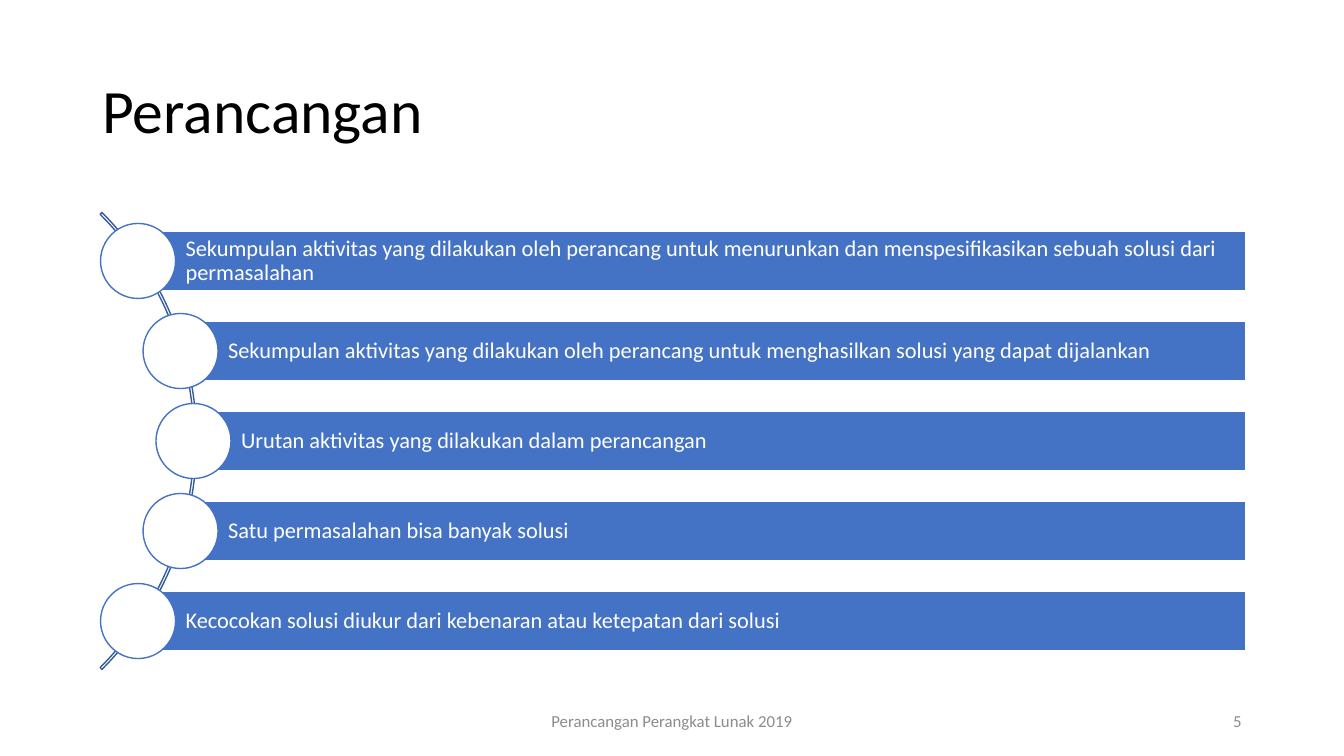
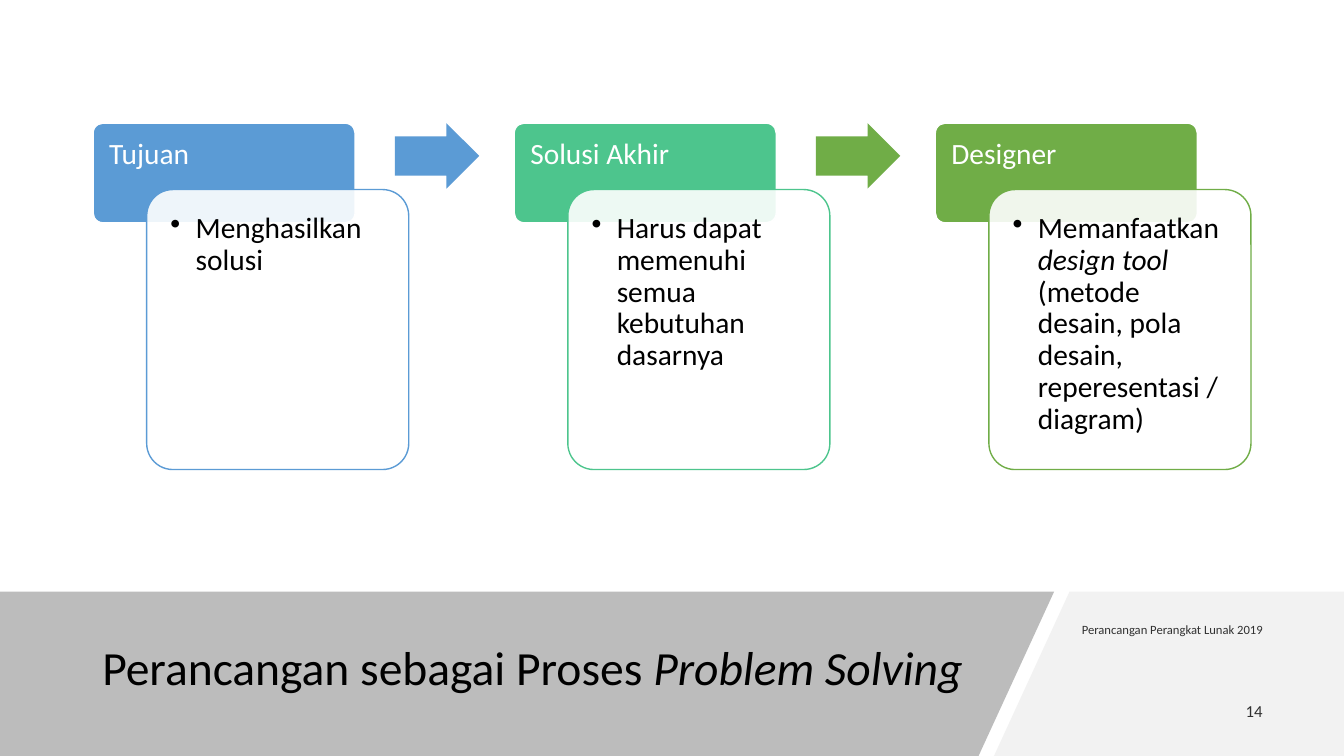
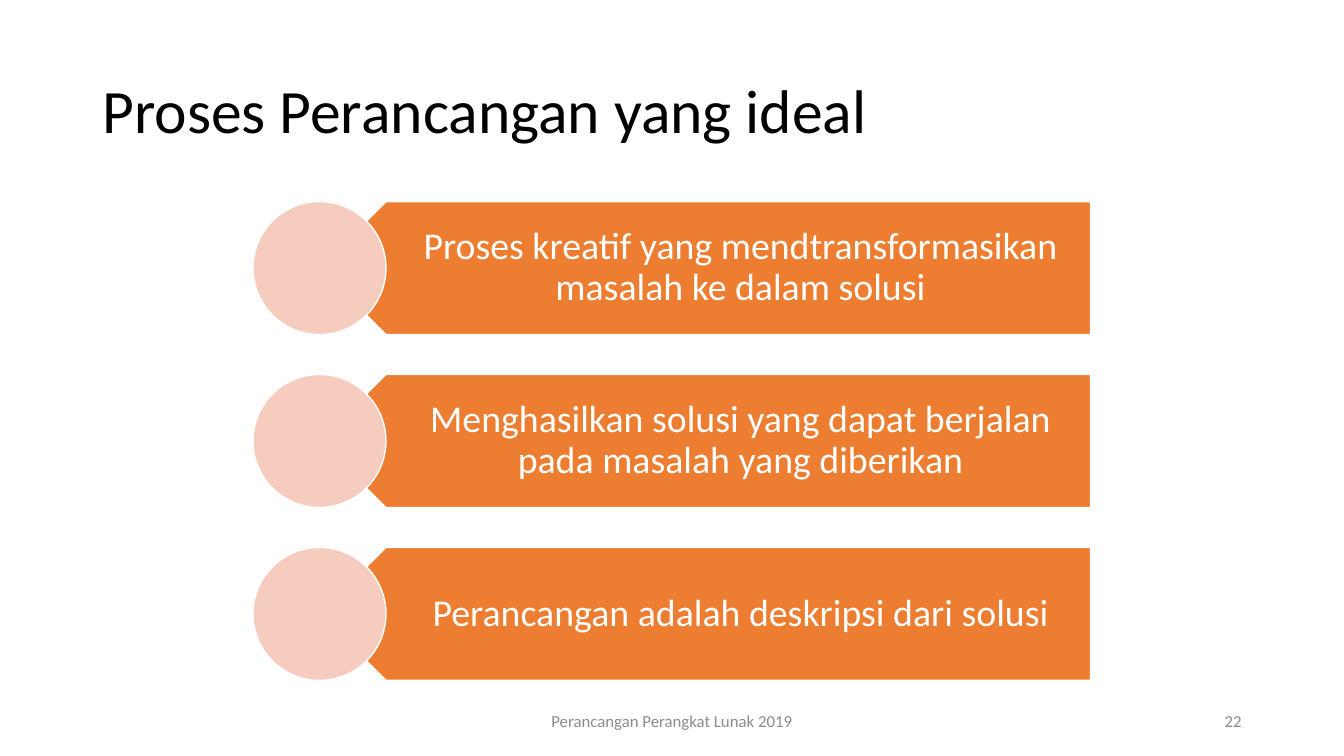
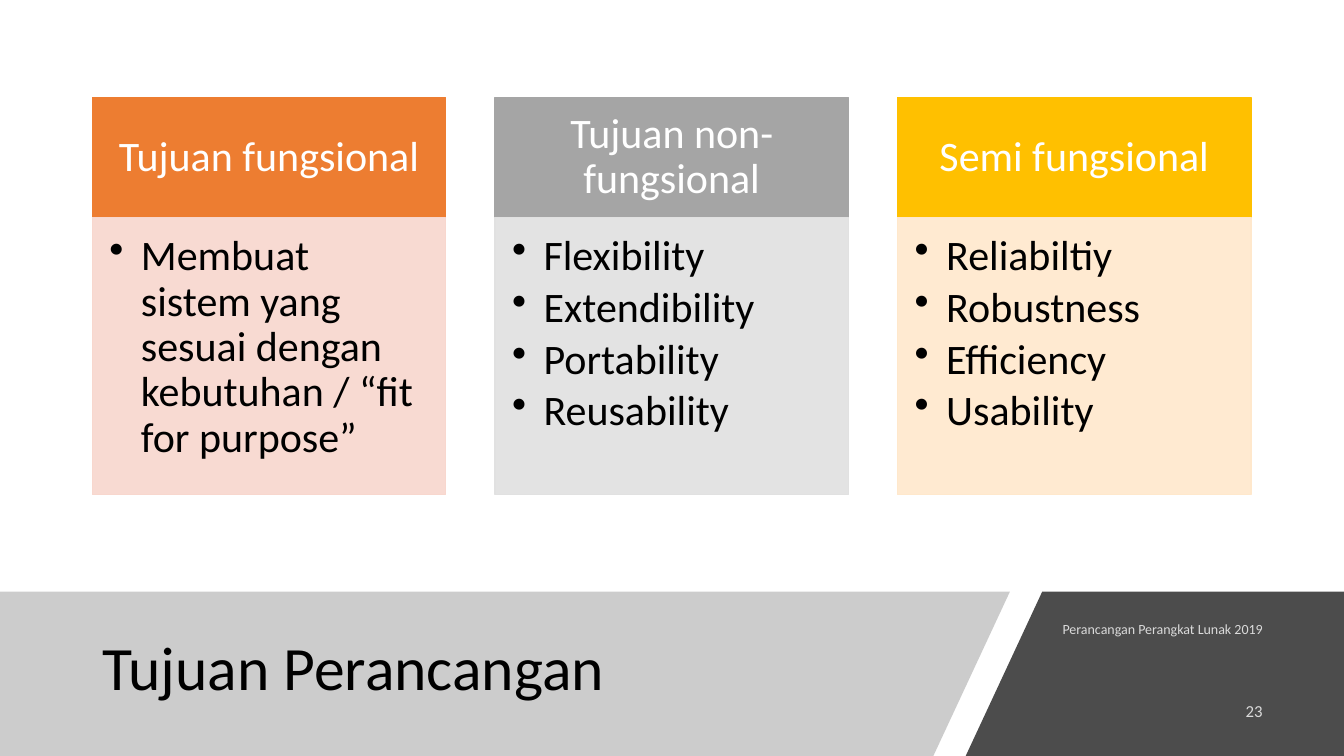
from math import sqrt

from lxml.etree import SubElement
from pptx import Presentation
from pptx.dml.color import RGBColor
from pptx.enum.shapes import MSO_SHAPE as KIND
from pptx.enum.text import MSO_ANCHOR as ANCHOR, PP_ALIGN as ALIGN
from pptx.oxml.ns import qn
from pptx.util import Pt

FONT = "Calibri"
BLACK, WHITE, GREY = "000000", "FFFFFF", "8C8C8C"
BLUE, NAVY, ORANGE, PINK = "4472C4", "365B9D", "ED7D31", "F6CCBE"
SKY, MINT, GREEN = "5B9BD5", "4DC58D", "70AD47"
FOOT = "Perancangan Perangkat Lunak 2019"
BAND_TOP, BAND_END = 422.6, 540


def paint(fill, color, alpha=100):
    """Make a fill solid; alpha is its opacity in percent."""
    fill.solid()
    fill.fore_color.rgb = RGBColor.from_string(color)
    if alpha < 100:
        tone = fill._xPr.find(qn("a:solidFill"))[0]
        SubElement(tone, qn("a:alpha"), val=str(alpha * 1000))


def draw(slide, box, text="", kind=None, fill=None, line=None, alpha=100,
         size=12, color=BLACK, fade=100, align=ALIGN.LEFT, anchor=ANCHOR.MIDDLE,
         inset=(7.2, 3.6, 7.2, 3.6), space=0.9, bullet=0):
    """Add a shape, or a text box if kind is None.

    Lines of text become paragraphs, parts between asterisks are italic,
    and bullet is the hanging indent of a list.
    """
    box = [Pt(n) for n in box]
    if kind is None:
        shape = slide.shapes.add_textbox(*box)
    else:
        shape = slide.shapes.add_shape(kind, *box)
        shape.shadow.inherit = False
        if fill:
            paint(shape.fill, fill, alpha)
        else:
            shape.fill.background()
        if line:
            paint(shape.line.fill, line)
            shape.line.width = Pt(1)
        else:
            shape.line.fill.background()
    if not text:
        return shape

    frame = shape.text_frame
    frame.word_wrap = True
    frame.vertical_anchor = anchor
    (frame.margin_left, frame.margin_top,
     frame.margin_right, frame.margin_bottom) = [Pt(n) for n in inset]
    for i, words in enumerate(text.split("\n")):
        para = frame.add_paragraph() if i else frame.paragraphs[0]
        para.alignment = align
        para.line_spacing = space
        if bullet:
            para.space_after = Pt(size * 0.15)
            props = para._p.get_or_add_pPr()
            props.set("marL", str(Pt(bullet)))
            props.set("indent", str(-Pt(bullet)))
            SubElement(props, qn("a:buChar"), char="•")
        para.font.name = FONT
        para.font.size = Pt(size)
        paint(para.font.fill, color, fade)
        for j, part in enumerate(words.split("*")):
            if part:
                run = para.add_run()
                run.text = part
                if j % 2:
                    run.font.italic = True
    return shape


deck = Presentation()
deck.slide_width, deck.slide_height = Pt(960), Pt(540)
blank = deck.slide_layouts[6]

# Plain slides: title on top, footer in the middle, number on the right
plain = []
for title, num in (("Perancangan", "5"), ("Proses Perancangan yang ideal", "22")):
    slide = deck.slides.add_slide(blank)
    draw(slide, (66, 28.8, 828, 104.4), title, size=44)
    draw(slide, (318, 500.4, 324, 28.8), FOOT, color=GREY, align=ALIGN.CENTER, space=1)
    draw(slide, (678, 500.4, 216, 28.8), num, color=GREY, align=ALIGN.RIGHT, space=1)
    plain.append(slide)

# Band slides: title on a slanted band, footer and number on a second one
# Each band: left and right at the top, left and right at the end, colour, opacity
looks = (
    ("Perancangan sebagai Proses *Problem Solving*", 34, 635.8, "14", 9, 149, BLACK,
     ((0, 753, 0, 699, "595959", 40), (764, 960, 710, 960, "F2F2F2", 100))),
    ("Tujuan Perancangan", 44, 607.7, "23", 10, 167.8, WHITE,
     ((0, 721.4, 0, 666.7, "808080", 40), (744.5, 960, 689.8, 960, BLACK, 70))),
)
banded = []
for title, size, wide, num, small, span, ink, bands in looks:
    slide = deck.slides.add_slide(blank)
    for left, right, low_left, low_right, color, alpha in bands:
        edge = slide.shapes.build_freeform(Pt(left), Pt(BAND_TOP))
        edge.add_line_segments([(Pt(right), Pt(BAND_TOP)), (Pt(low_right), Pt(BAND_END)),
                                (Pt(low_left), Pt(BAND_END))])
        band = edge.convert_to_shape()
        band.shadow.inherit = False
        paint(band.fill, color, alpha)
        band.line.fill.background()
    draw(slide, (66, 435.6, wide, 86.4), title, size=size)
    draw(slide, (909 - span, 435.6, span, 28.8), FOOT, size=small, color=ink,
         fade=80, align=ALIGN.RIGHT)
    draw(slide, (803, 493.2, 106, 28.8), num, color=ink, fade=80,
         align=ALIGN.RIGHT, space=1)
    banded.append(slide)

# Put the slides in reading order: plain and banded in turn
order = deck.slides._sldIdLst
order.insert(1, order[2])

# Perancangan: bars whose dots sit on an arc
slide = plain[0]
mid_x, mid_y, reach, outer = -90.4, 315, 228.6, 230.8
dot, tall, step, end = 53.6, 43, 64.3, 889.6
arc = draw(slide, (mid_x - outer, mid_y - outer, 2 * outer, 2 * outer),
           kind=KIND.BLOCK_ARC, line=NAVY)
for i, value in enumerate((189, 27, 0.004)):
    arc.adjustments[i] = value
points = (
    "Sekumpulan aktivitas yang dilakukan oleh perancang untuk menurunkan dan "
    "menspesifikasikan sebuah solusi dari permasalahan",
    "Sekumpulan aktivitas yang dilakukan oleh perancang untuk menghasilkan solusi "
    "yang dapat dijalankan",
    "Urutan aktivitas yang dilakukan dalam perancangan",
    "Satu permasalahan bisa banyak solusi",
    "Kecocokan solusi diukur dari kebenaran atau ketepatan dari solusi",
)
for i, text in enumerate(points):
    drop = (i - 2) * step
    x, y = mid_x + sqrt(reach ** 2 - drop ** 2), mid_y + drop
    draw(slide, (x, y - tall / 2, end - x, tall), text, KIND.RECTANGLE, BLUE, WHITE,
         size=16, color=WHITE, inset=(34, 2.9, 2.9, 2.9))
    draw(slide, (x - dot / 2, y - dot / 2, dot, dot), kind=KIND.OVAL, fill=WHITE, line=BLUE)

# Problem solving: three cards joined by arrows
slide = banded[0]
cards = (
    ("Tujuan", "Menghasilkan solusi", SKY, SKY),
    ("Solusi Akhir", "Harus dapat memenuhi semua kebutuhan dasarnya", MINT, GREEN),
    ("Designer", "Memanfaatkan *design tool *(metode desain, pola desain, "
     "reperesentasi / diagram)", GREEN, None),
)
for i, (head, body, color, arrow) in enumerate(cards):
    x = 66.5 + i * 300.8
    tab = draw(slide, (x, 88, 187.2, 71.2), head, KIND.ROUNDED_RECTANGLE, color, WHITE,
               size=21, color=WHITE, anchor=ANCHOR.TOP, inset=(9.4, 9.4, 9.4, 6.5))
    card = draw(slide, (x + 38.3, 135.4, 187.2, 200), body, KIND.ROUNDED_RECTANGLE,
                WHITE, color, alpha=90, size=21, anchor=ANCHOR.TOP,
                inset=(11.5, 11.5, 11.5, 11.5), bullet=18)
    tab.adjustments[0] = card.adjustments[0] = 0.1
    if arrow:
        sign = draw(slide, (x + 215.5, 88, 60.3, 46.8), kind=KIND.RIGHT_ARROW, fill=arrow)
        sign.adjustments[0] = 0.6

# Ideal process: pointed bars with a disc at the tip
slide = plain[1]
tall = 95
steps = (
    "Proses kreatif yang mendtransformasikan masalah ke dalam solusi",
    "Menghasilkan solusi yang dapat berjalan pada masalah yang diberikan",
    "Perancangan adalah deskripsi dari solusi",
)
for i, text in enumerate(steps):
    y = 144 + i * 123.5
    bar = draw(slide, (228.2, y, 550.8, tall), kind=KIND.PENTAGON, fill=ORANGE, line=WHITE)
    bar.rotation = 180
    draw(slide, (252, y, 527, tall), text, size=27, color=WHITE, align=ALIGN.CENTER,
         inset=(41.8, 7.9, 15.1, 7.9))
    draw(slide, (228.2 - tall / 2, y, tall, tall), kind=KIND.OVAL, fill=PINK, line=WHITE)

# Goals: three columns with a head and a list
slide = banded[1]
goals = (
    ("Tujuan fungsional", "Membuat sistem yang sesuai dengan kebutuhan / “fit for purpose”",
     ORANGE, "F8D7CE"),
    ("Tujuan non-fungsional", "Flexibility\nExtendibility\nPortability\nReusability",
     "A5A5A5", "E1E1E1"),
    ("Semi fungsional", "Reliabiltiy\nRobustness\nEfficiency\nUsability",
     "FFC000", "FFE8CC"),
)
for i, (head, body, color, pale) in enumerate(goals):
    x = 66 + i * 287.6
    draw(slide, (x, 69.6, 252.3, 85.8), head, KIND.RECTANGLE, color, color, size=30,
         color=WHITE, align=ALIGN.CENTER, inset=(16.6, 9.4, 16.6, 9.4))
    draw(slide, (x, 155.4, 252.3, 198), body, KIND.RECTANGLE, pale, pale, alpha=90,
         size=30, anchor=ANCHOR.TOP, inset=(12.2, 12.2, 16.6, 18.7), bullet=22.5)

deck.save("out.pptx")
